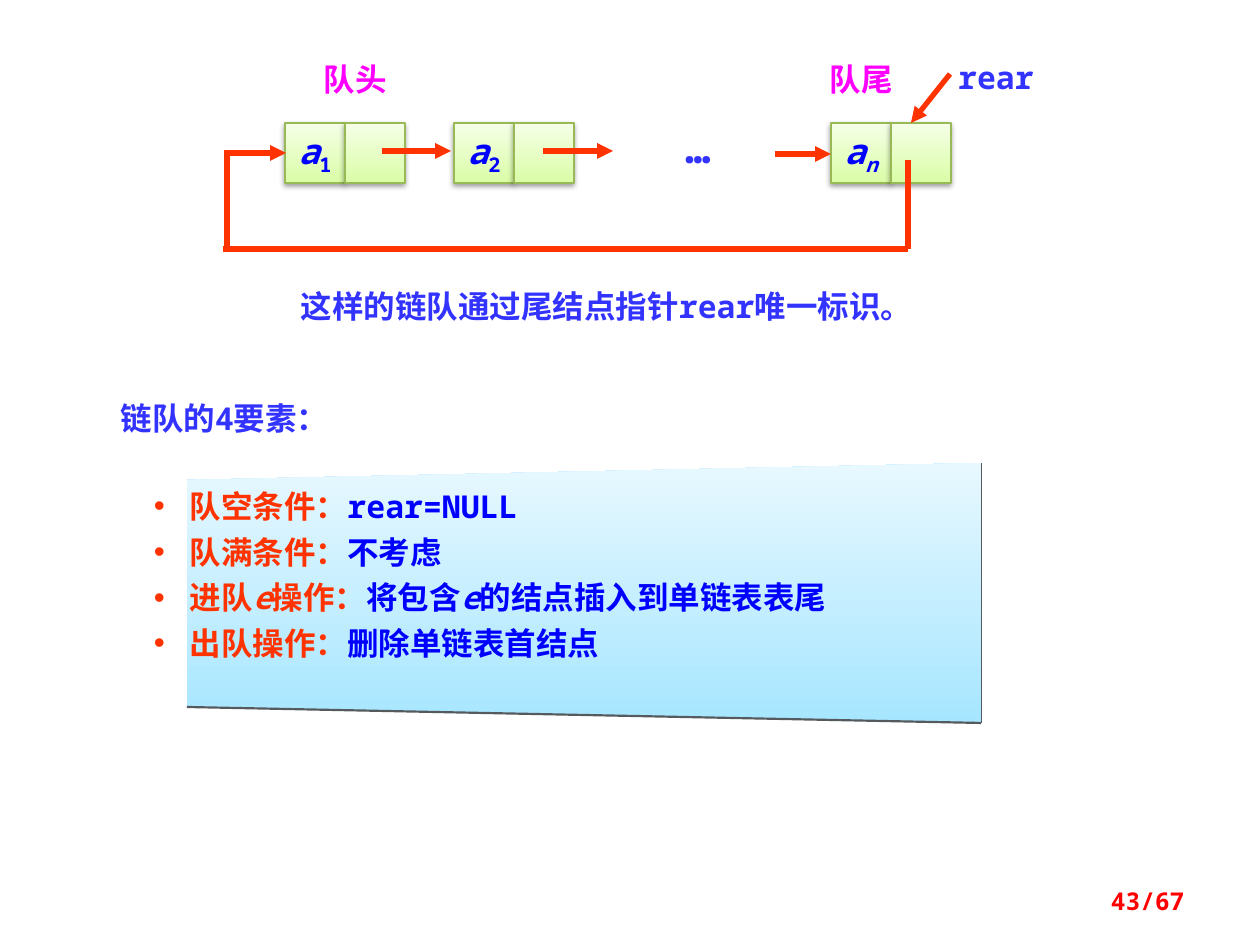
from lxml.etree import SubElement
from pptx import Presentation
from pptx.dml.color import RGBColor
from pptx.enum.shapes import MSO_CONNECTOR, MSO_SHAPE
from pptx.enum.text import MSO_ANCHOR, MSO_AUTO_SIZE, PP_ALIGN
from pptx.oxml.ns import qn
from pptx.util import Pt

SCALE = 914400 / 126
MONO, SANS = "Noto Sans Mono", "Noto Sans CJK SC"
RED, BLUE, VIOLET, PINK = "FF3300", "0000FF", "3333FF", "FF00FF"

# Content: (text, format) spans
ITALIC = {"italic": True}
HEADING = "链队的4要素："
ELEMENTS = [
    [("队空条件：", {"color": RED}), ("rear=NULL", {})],
    [("队满条件：", {"color": RED}), ("不考虑", {})],
    [("进队", {"color": RED}), ("e", {"color": RED, **ITALIC}), ("操作：", {"color": RED}),
     ("将包含", {}), ("e", ITALIC), ("的结点插入到单链表表尾", {})],
    [("出队操作：", {"color": RED}), ("删除单链表首结点", {})],
]
CELL, CELL_TOP = 60, 123
NODES = [(285, "1", {}), (454, "2", {}), (831, "n", ITALIC)]
LABELS = [  # text, box, format
    ("rear", (941, 52, 110, 50), {}),
    ("…", (643, 115, 110, 63), {"size": 24}),
    ("队头", (295, 54, 120, 50), {"color": PINK, "font": SANS}),
    ("队尾", (801, 54, 120, 50), {"color": PINK, "font": SANS}),
    ("这样的链队通过尾结点指针rear唯一标识。", (160, 281, 893, 50), {}),
]
ARROWS = [(775, 154, 831, 154), (382, 151, 451, 151), (543, 151, 613, 151),
          (226, 153, 286, 153), (950, 74, 911, 123)]
LOOP = [(908, 160, 908, 249), (223, 249, 908, 249), (227, 150, 227, 251)]
PANEL = [(187, 480), (981, 463), (981, 723), (187, 707)]


def px(value):
    return round(value * SCALE)


def rgb(color):
    return RGBColor.from_string(color)


def write(para, text, size=18, color=BLUE, font=MONO, bold=True, italic=False, baseline=0):
    span = para.add_run()
    span.text = text
    span.font.size, span.font.bold, span.font.italic = Pt(size), bold, italic
    span.font.color.rgb = rgb(color)
    span.font.name = font
    properties = span.font._element
    SubElement(properties, qn("a:ea"), typeface=SANS)
    if baseline:
        properties.set("baseline", str(baseline))


def place(shape, box):
    shape.left, shape.top, shape.width, shape.height = map(px, box)


def add_label(page, text, box, align=PP_ALIGN.CENTER, anchor=MSO_ANCHOR.TOP, **style):
    frame = page.shapes.add_textbox(*map(px, box)).text_frame
    frame.word_wrap = True
    frame.vertical_anchor = anchor
    frame.paragraphs[0].alignment = align
    write(frame.paragraphs[0], text, **style)


def shade(shape, bottom, top):
    shape.shadow.inherit = False
    shape.fill.gradient()
    shape.fill.gradient_angle = 90
    for stop, color, position in zip(shape.fill.gradient_stops, (bottom, top), (0, 1)):
        stop.color.rgb = rgb(color)
        stop.position = position


def add_cell(page, left):
    cell = page.shapes.add_shape(MSO_SHAPE.RECTANGLE, *map(px, (left, CELL_TOP, CELL, CELL)))
    shade(cell, "DAFDA7", "F5FFE7")
    cell.line.color.rgb = rgb("98B955")
    cell.line.width = Pt(0.75)
    effects = cell._element.spPr.find(qn("a:effectLst"))
    shadow = SubElement(effects, qn("a:outerShdw"), blurRad=str(Pt(3.1)), dist=str(Pt(1.6)),
                        dir="5400000", rotWithShape="0")
    black = SubElement(shadow, qn("a:srgbClr"), val="000000")
    SubElement(black, qn("a:alpha"), val="38000")
    return cell


def add_line(page, ends, color=RED, width=3, arrow=False):
    line = page.shapes.add_connector(MSO_CONNECTOR.STRAIGHT, *map(px, ends))
    line.line.color.rgb = rgb(color)
    line.line.width = Pt(width)
    if arrow:
        SubElement(line.line._get_or_add_ln(), qn("a:tailEnd"), type="triangle")
    SubElement(line._element.spPr, qn("a:effectLst"))
    return line


deck = Presentation()
deck.slide_width, deck.slide_height = px(1260), px(945)
page = deck.slides.add_slide(deck.slide_layouts[1])
title, body = page.placeholders

# Slanted panel, kept behind the list
builder = page.shapes.build_freeform(*PANEL[0], scale=SCALE)
builder.add_line_segments(PANEL[1:], close=True)
panel = builder.convert_to_shape()
shade(panel, "A7E6FF", "E7F8FF")
panel.line.fill.background()
bottom_edge = add_line(page, (*PANEL[3], *PANEL[2]), "555A5F", 1.25)
right_edge = add_line(page, (*PANEL[1], *PANEL[2]), "555A5F", 0.5)
for part in (right_edge, bottom_edge, panel):
    page.shapes._spTree.insert(2, part._element)

# Heading and list
place(title, (108, 393, 359, 50))
place(body, (134, 472, 840, 238))
for shape in (title, body):
    shape.text_frame.auto_size = MSO_AUTO_SIZE.NONE
    shape.text_frame.vertical_anchor = MSO_ANCHOR.TOP
title.text_frame.paragraphs[0].alignment = PP_ALIGN.LEFT
write(title.text_frame.paragraphs[0], HEADING, color=VIOLET)

frame = body.text_frame
frame.margin_left = frame.margin_right = px(20)
frame.margin_top = frame.margin_bottom = px(15)
for index, spans in enumerate(ELEMENTS):
    para = frame.add_paragraph() if index else frame.paragraphs[0]
    properties = para._p.get_or_add_pPr()
    properties.set("marL", str(px(36)))
    properties.set("indent", str(px(-36)))
    para.space_before = Pt(4.5 if index else 0)
    SubElement(properties, qn("a:buChar"), char="•")
    for text, style in spans:
        write(para, text, **style)

# Linked nodes: a data cell and a pointer cell each
for left, subscript, style in NODES:
    data = add_cell(page, left)
    add_cell(page, left + CELL)
    frame = data.text_frame
    frame.word_wrap = False
    frame.vertical_anchor = MSO_ANCHOR.MIDDLE
    para = frame.paragraphs[0]
    para.alignment = PP_ALIGN.CENTER
    write(para, "a", size=20, italic=True)
    write(para, subscript, size=20, baseline=-25000, **style)

# Pointers, labels and page number
for ends in LOOP:
    add_line(page, ends)
for ends in ARROWS:
    add_line(page, ends, arrow=True)
for text, box, style in LABELS:
    add_label(page, text, box, **{"color": VIOLET, **style})
add_label(page, "43/67", (903, 876, 294, 50), PP_ALIGN.RIGHT, MSO_ANCHOR.MIDDLE,
          size=14, color="FF0000")

deck.save("out.pptx")
